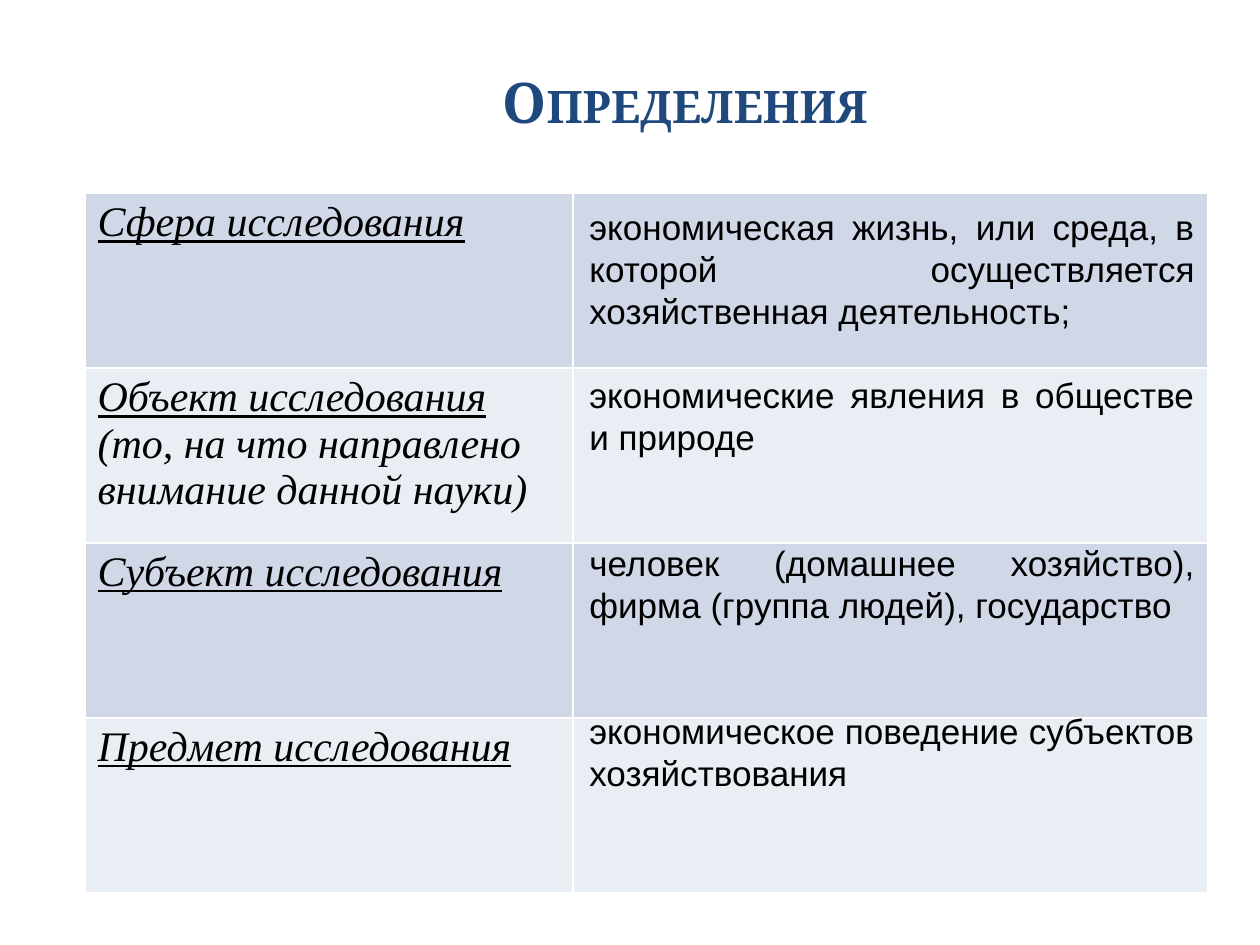
import pptx
import pptx.dml.color
import pptx.enum.text
import pptx.util

SCALE = 914400 / 126
ALIGN = pptx.enum.text.PP_ALIGN
TERMS = [
    ("Сфера исследования", ""),
    ("Объект исследования", " (то, на что направлено внимание данной науки)"),
    ("Субъект исследования", ""),
    ("Предмет исследования", ""),
]
NOTES = [
    ("экономическая жизнь, или среда, в которой осуществляется хозяйственная деятельность;", 0),
    ("экономические явления в обществе и природе", 24),
    ("человек (домашнее хозяйство), фирма (группа людей), государство", 48),
    ("экономическое поведение субъектов хозяйствования", 48),
]


def px(*nums):
    """Turn pixel lengths into a list of EMU lengths."""
    return [pptx.util.Emu(round(num * SCALE)) for num in nums]


def tint(part, code):
    """Colour a fill or a font with a hex string."""
    if hasattr(part, "solid"):
        part.solid()
        part = part.fore_color
    else:
        part = part.color
    part.rgb = pptx.dml.color.RGBColor.from_string(code)


def style(run, face, size, code="000000"):
    """Set the face, size and colour of a run."""
    run.font.name = face
    run.font.size = pptx.util.Pt(size)
    tint(run.font, code)


def add_title(slide, text):
    """Fill and place the title in small capitals."""
    title = slide.shapes.title
    title.left, title.top, title.width, title.height = px(136, 26, 1098, 150)
    frame = title.text_frame
    frame.text = text
    frame.vertical_anchor = pptx.enum.text.MSO_ANCHOR.MIDDLE
    para = frame.paragraphs[0]
    para.alignment = ALIGN.CENTER
    run = para.runs[0]
    style(run, "Cambria", 32, "1F497D")
    run.font.bold = True
    run.font._element.set("cap", "small")


def add_terms(slide, terms):
    """Add the banded table with the terms in its left column."""
    table = slide.shapes.add_table(len(terms), 2, *px(85, 193, 1123, 700)).table
    table.first_row = False
    table.columns[0].width, table.columns[1].width = px(488, 635)
    for row, (term, rest) in enumerate(terms):
        for cell in table.rows[row].cells:
            tint(cell.fill, "E9EDF4" if row % 2 else "D0D8E8")
        para = table.cell(row, 0).text_frame.paragraphs[0]
        para.alignment = ALIGN.LEFT
        for text, under in ((term, True), (rest, False)):
            if text:
                run = para.add_run()
                run.text = text
                style(run, "Times New Roman", 24)
                run.font.italic = True
                run.font.underline = under


def add_notes(slide, notes):
    """Add the text box with the meanings, spaced to meet the rows."""
    frame = slide.shapes.add_textbox(*px(577, 199, 630, 606)).text_frame
    frame.word_wrap = True
    frame.text = "\n".join(text for text, gap in notes)
    for para, (text, gap) in zip(frame.paragraphs, notes):
        para.alignment = ALIGN.JUSTIFY
        para.line_spacing = pptx.util.Pt(24)
        para.space_before = pptx.util.Pt(gap)
        style(para.runs[0], "Arial", 20)


def main():
    """Build and save the slide."""
    deck = pptx.Presentation()
    deck.slide_width, deck.slide_height = px(1260, 945)
    slide = deck.slides.add_slide(deck.slide_layouts[5])
    add_title(slide, "Определения")
    add_terms(slide, TERMS)
    add_notes(slide, NOTES)
    deck.save("out.pptx")


if __name__ == "__main__":
    main()
